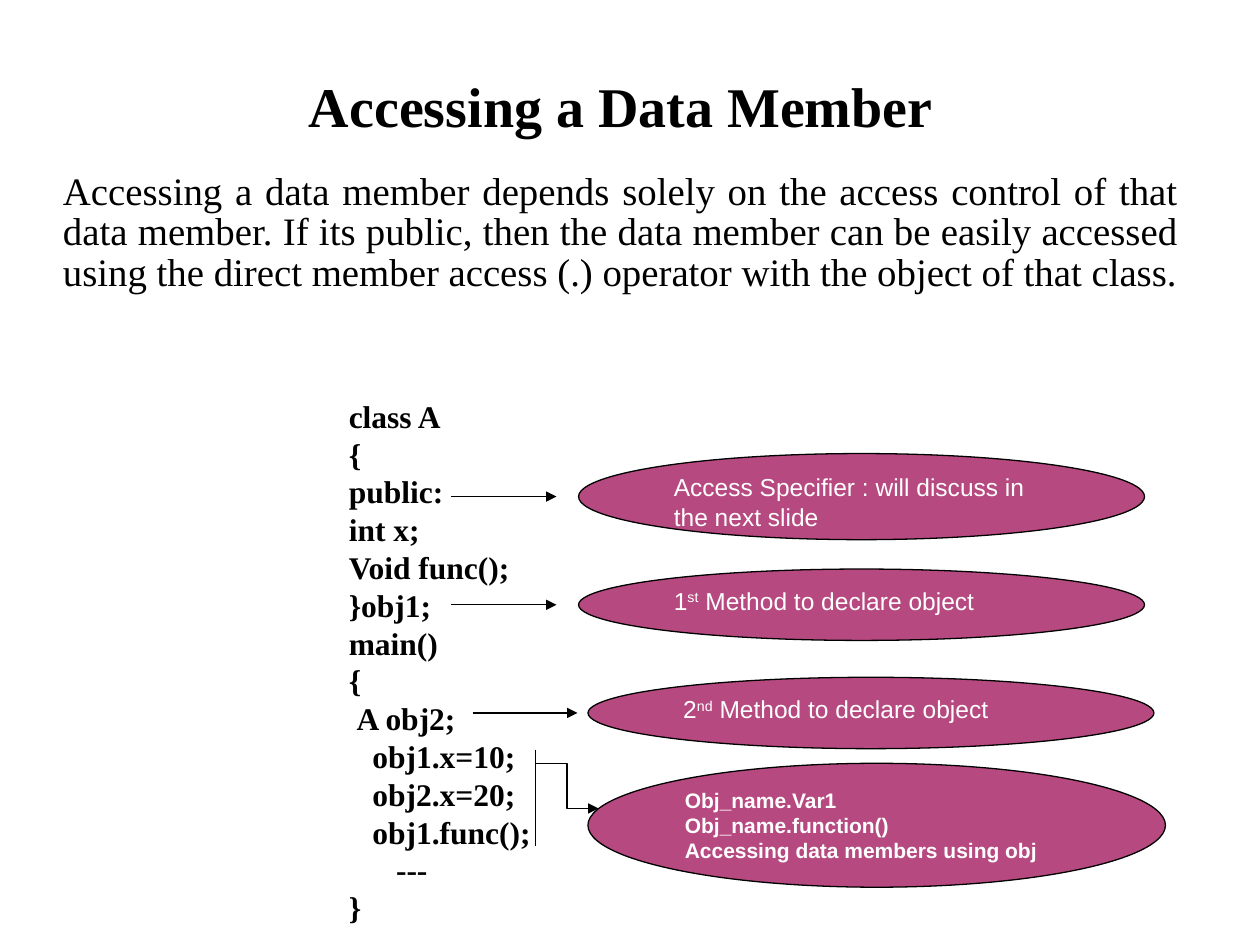
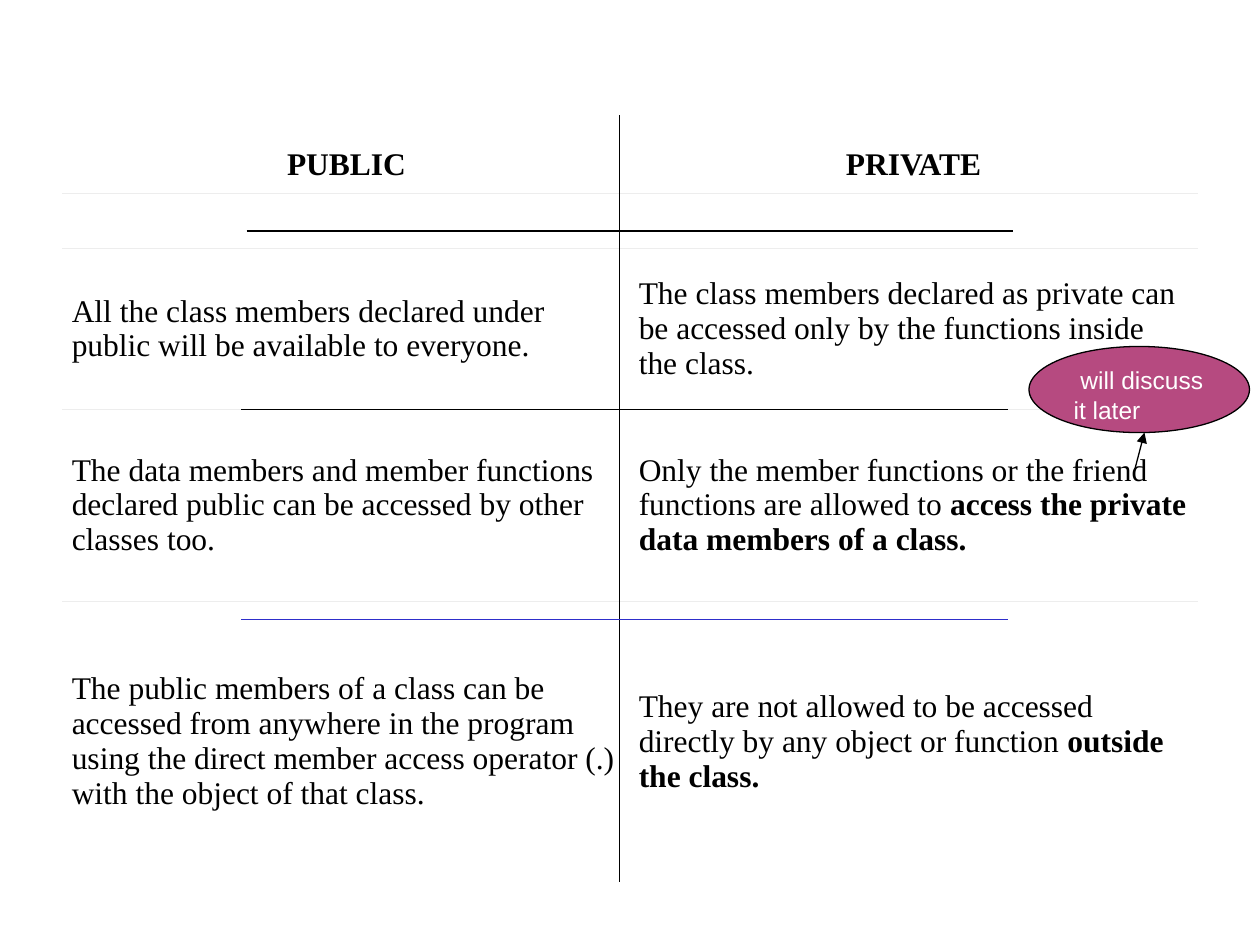
from lxml import etree
from pptx import Presentation
from pptx.dml.color import RGBColor
from pptx.enum.shapes import MSO_CONNECTOR, MSO_SHAPE
from pptx.enum.text import MSO_ANCHOR, PP_ALIGN
from pptx.oxml.ns import qn
from pptx.util import Inches, Pt

BLACK = RGBColor(0x00, 0x00, 0x00)
WHITE = RGBColor(0xFF, 0xFF, 0xFF)
PLUM = RGBColor(0xB6, 0x4A, 0x80)
BLUE = RGBColor(0x2E, 0x2E, 0xCB)
RULE_GREY = RGBColor(0xED, 0xED, 0xED)

STRAIGHT, ELBOW = MSO_CONNECTOR.STRAIGHT, MSO_CONNECTOR.ELBOW
OVAL = MSO_SHAPE.OVAL
TOP, MIDDLE = MSO_ANCHOR.TOP, MSO_ANCHOR.MIDDLE
LEFT, CENTER, JUSTIFY = PP_ALIGN.LEFT, PP_ALIGN.CENTER, PP_ALIGN.JUSTIFY

GRID = Inches(1) / 12  # one column or row of the drawing grid
MARGIN = Inches(0.5)
TEXT_WIDTH = Inches(8.86)
CODE_SPACE = Inches(0.0625)  # width of one space in the code listing

SERIF = {"name": "Times New Roman", "size": Pt(18), "bold": False}
SERIF_BOLD = {**SERIF, "bold": True}
TITLE_FONT = {**SERIF_BOLD, "size": Pt(32)}
BODY_FONT = {**SERIF, "size": Pt(22.2)}
CALLOUT_FONT = {"name": "Arial", "size": Pt(14), "bold": False}
SYNTAX_FONT = {"name": "Arial", "size": Pt(12), "bold": True}


def write_runs(paragraph, runs, font, color=BLACK, **paragraph_format):
    """Fill a paragraph from (text, style) runs; style is "", "bold" or "super"."""
    for key, value in paragraph_format.items():
        setattr(paragraph, key, value)
    for text, style in runs:
        run = paragraph.add_run()
        run.text = text
        for key, value in font.items():
            setattr(run.font, key, value)
        run.font.color.rgb = color
        if style == "bold":
            run.font.bold = True
        elif style == "super":
            run._r.get_or_add_rPr().set("baseline", "30000")


def add_line(slide, start, end, arrow=False, color=BLACK, kind=STRAIGHT):
    """Join two (column, row) points of the grid."""
    points = [round(value * GRID) for value in (*start, *end)]
    connector = slide.shapes.add_connector(kind, *points)
    connector.line.color.rgb = color
    connector.line.width = Pt(0.75)
    properties = connector._element.spPr
    if arrow:
        outline = properties.find(qn("a:ln"))
        etree.SubElement(outline, qn("a:tailEnd"), type="triangle")
    etree.SubElement(properties, qn("a:effectLst"))


presentation = Presentation()
presentation.slide_width = Inches(10)
presentation.slide_height = Inches(7.5)
access_slide = presentation.slides.add_slide(presentation.slide_layouts[5])
compare_slide = presentation.slides.add_slide(presentation.slide_layouts[6])

# Title and explanation
title = access_slide.shapes.title
title.left, title.top = MARGIN, Inches(0.3)
title.width, title.height = TEXT_WIDTH, Inches(1.12)
title.text_frame.vertical_anchor = MIDDLE
write_runs(title.text_frame.paragraphs[0], [("Accessing a Data Member", "")],
           TITLE_FONT, alignment=CENTER, line_spacing=0.97)

body = access_slide.shapes.add_textbox(MARGIN, Inches(1.2), TEXT_WIDTH, Inches(1.72))
body_format = {"word_wrap": True, "margin_left": 0, "margin_right": 0,
               "margin_top": Inches(0.17), "margin_bottom": 0}
for key, value in body_format.items():
    setattr(body.text_frame, key, value)
body_text = (
    "Accessing a data member depends solely on the access control of that data member. "
    "If its public, then the data member can be easily accessed using the direct member "
    "access (.) operator with the object of that class."
)
write_runs(body.text_frame.paragraphs[0], [(body_text, "")], BODY_FONT,
           alignment=JUSTIFY, line_spacing=0.87, space_after=Pt(12.9))

# Code listing: indent in spaces, then the line
code_lines = [
    (0, "class A"), (0, "{"), (0, "public:"), (0, "int x;"), (0, "Void func();"),
    (0, "}obj1;"), (0, "main()"), (0, "{"), (1, "A obj2;"), (3, "obj1.x=10;"),
    (3, "obj2.x=20;"), (3, "obj1.func();"), (6, "---"), (0, "}"),
]
code = access_slide.shapes.add_textbox(Inches(2.67), Inches(3.1), Inches(2.33), Inches(4.3))
code.text_frame.word_wrap = True
for index, (indent, text) in enumerate(code_lines):
    paragraph = code.text_frame.add_paragraph() if index else code.text_frame.paragraphs[0]
    write_runs(paragraph, [(text, "")], SERIF_BOLD)
    paragraph._p.get_or_add_pPr().set("marL", str(round(indent * CODE_SPACE)))

# Comparison table
row_heights = [0.45, 0.44, 1.28, 1.52, 2.23]
table_rows = [
    [[("PUBLIC", "bold")], [("PRIVATE", "bold")]],
    [[], []],
    [[("All the class members declared under public will be available to everyone.", "")],
     [("The class members declared as private can be accessed only by the functions "
       "inside the class.", "")]],
    [[("The data members and member functions declared public can be accessed by other "
       "classes too.", "")],
     [("Only the member functions or the friend functions are allowed to ", ""),
      ("access the private data members of a class.", "bold")]],
    [[("The public members of a class can be accessed from anywhere in the program using "
       "the direct member access operator (.) with the object of that class.", "")],
     [("They are not allowed to be accessed directly by any object or function ", ""),
      ("outside the class.", "bold")]],
]
table = compare_slide.shapes.add_table(
    len(table_rows), 2, MARGIN, Inches(1.08), Inches(9), Inches(sum(row_heights))).table
table.first_row = table.horz_banding = False
last_row = len(table_rows) - 1
for row_index, (height, row) in enumerate(zip(row_heights, table_rows)):
    table.rows[row_index].height = Inches(height)
    for column_index, runs in enumerate(row):
        cell = table.cell(row_index, column_index)
        cell.vertical_anchor = MIDDLE
        cell.margin_left = cell.margin_right = Inches(0.07 if row_index else 0.04)
        cell.fill.solid()
        cell.fill.fore_color.rgb = WHITE
        write_runs(cell.text_frame.paragraphs[0], runs, SERIF,
                   alignment=LEFT if row_index else CENTER)
        inner_edges = ["a:lnT"] * (row_index > 0) + ["a:lnB"] * (row_index < last_row)
        for position, edge in enumerate(inner_edges):
            border = etree.Element(qn(edge), w=str(Pt(0.23)))
            fill = etree.SubElement(border, qn("a:solidFill"))
            etree.SubElement(fill, qn("a:srgbClr"), val=str(RULE_GREY))
            cell._tc.get_or_add_tcPr().insert(position, border)

# Callouts: slide, grid box, font, paragraphs
callouts = [
    (access_slide, (55.1, 54.2, 53.9, 6.8), CALLOUT_FONT,
     [[("1", ""), ("st", "super"), (" Method to declare object", "")]]),
    (access_slide, (56, 64.5, 53.9, 6.8), CALLOUT_FONT,
     [[("2", ""), ("nd", "super"), (" Method to declare object", "")]]),
    (access_slide, (55.1, 43.2, 53.9, 8.2), CALLOUT_FONT,
     [[("Access Specifier : will discuss in the next slide", "")]]),
    (access_slide, (56, 72.7, 55, 11.8), SYNTAX_FONT,
     [[("Obj_name.Var1", "")], [("Obj_name.function()", "")],
      [("Accessing data members using obj", "")]]),
    (compare_slide, (98, 33, 21, 8.2), CALLOUT_FONT, [[(" will discuss it later", "")]]),
]
for slide, box, font, paragraphs in callouts:
    callout = slide.shapes.add_shape(OVAL, *[round(value * GRID) for value in box])
    callout.shadow.inherit = False
    callout.fill.solid()
    callout.fill.fore_color.rgb = PLUM
    callout.line.color.rgb = BLACK
    callout.line.width = Pt(0.75)
    frame = callout.text_frame
    frame.word_wrap = True
    frame.vertical_anchor = TOP
    for index, runs in enumerate(paragraphs):
        paragraph = frame.add_paragraph() if index else frame.paragraphs[0]
        write_runs(paragraph, runs, font, WHITE, alignment=LEFT)

# Arrows from the code to its callouts
for column, row in [(43, 57.6), (45, 67.9), (43, 47.3)]:
    add_line(access_slide, (column, row), (column + 10, row), arrow=True)
add_line(access_slide, (51, 72.7), (57, 77), arrow=True, kind=ELBOW)
add_line(access_slide, (51, 71.4), (51, 80.6))

# Dividers of the comparison and the arrow to its callout
add_line(compare_slide, (59, 11), (59, 84))
for column, row, color in [(23, 39, BLACK), (23, 59, BLUE), (23.5, 22, BLACK)]:
    add_line(compare_slide, (column, row), (column + 73, row), color=color)
add_line(compare_slide, (108, 45), (109, 41.2), arrow=True)

presentation.save("out.pptx")
